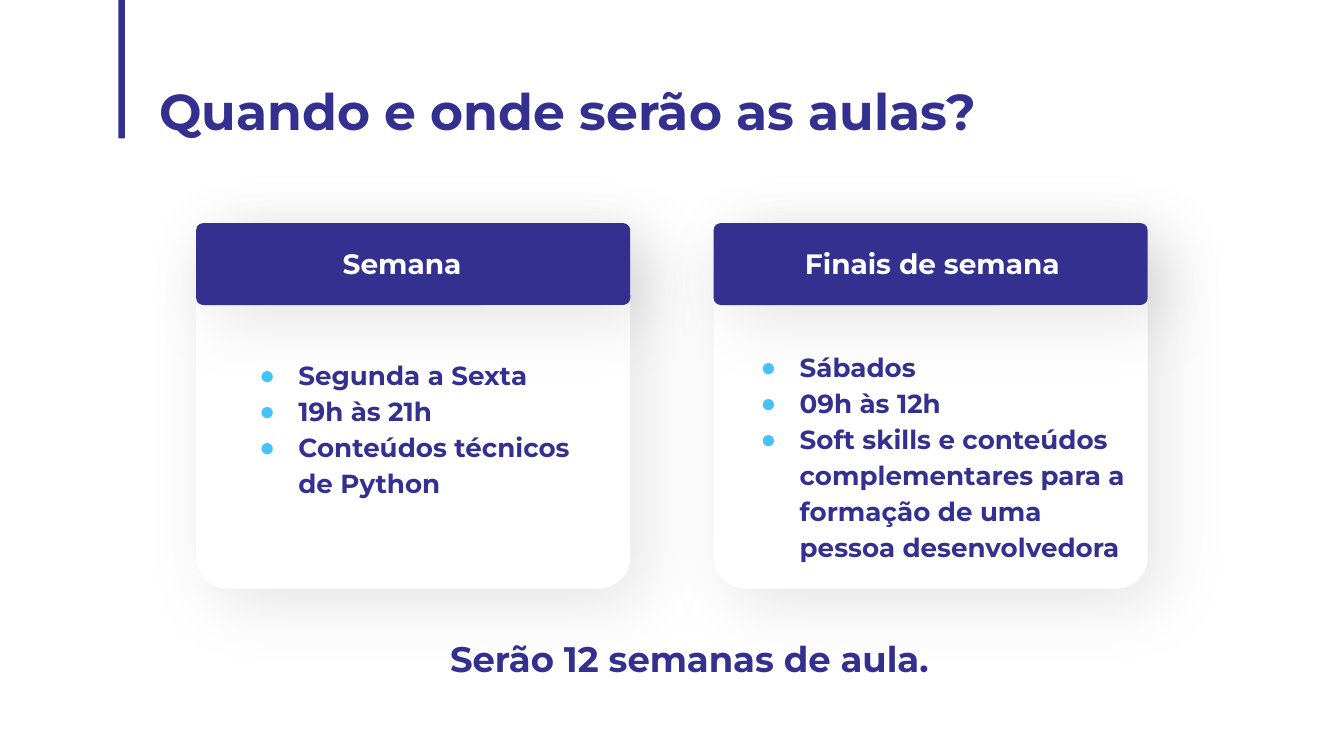
from dataclasses import dataclass

from lxml.etree import SubElement
from pptx import Presentation
from pptx.dml.color import RGBColor
from pptx.enum.shapes import MSO_SHAPE
from pptx.enum.text import MSO_ANCHOR, MSO_AUTO_SIZE, PP_ALIGN
from pptx.oxml.ns import qn
from pptx.util import Emu, Inches, Pt


@dataclass(frozen=True)
class Theme:
    font: str = "Montserrat"
    bullet_font: str = "Arial"
    primary: str = "343090"
    accent: str = "44C2FD"
    white: str = "FFFFFF"
    shadow: str = "000000"
    title: int = 27
    closing: int = 19
    header: int = 15
    body: int = 14


@dataclass(frozen=True)
class Box:
    col: float
    row: float
    cols: float
    rows: float

    def inner(self, col, row, cols, rows):
        return Box(self.col + col, self.row + row, cols, rows)

    def lengths(self):
        return [Emu(round(n * CELL)) for n in (self.col, self.row, self.cols, self.rows)]


THEME = Theme()
CELL = Inches(0.1)
SLIDE = Box(0, 0, 100, 56.25)
CARD_COLS, CARD_ROWS, CARD_PITCH = 32.3, 27.2, 38.5
HEADER_ROWS = 6.1
CARDS = [
    ("Semana", (10.6, 1.45, 9.8, 3.1),
     ["Segunda a Sexta", "19h às 21h", "Conteúdos técnicos de Python"],
     (2.3, 9.5, 26.4, 11.1)),
    ("Finais de semana", (6.5, 1.45, 20.7, 3.1),
     ["Sábados", "09h às 12h",
      "Soft skills e conteúdos complementares para a formação de uma pessoa desenvolvedora"],
     (1.1, 8.9, 30.1, 16.5)),
]


def place(sp, box):
    sp.left, sp.top, sp.width, sp.height = box.lengths()


def add_bullet(p):
    pPr = p._p.get_or_add_pPr()
    pPr.set("marL", str(Inches(0.5)))
    pPr.set("indent", str(Inches(-0.29)))
    color = SubElement(pPr, qn("a:buClr"))
    SubElement(color, qn("a:srgbClr"), val=THEME.accent)
    SubElement(pPr, qn("a:buFont"), typeface=THEME.bullet_font)
    SubElement(pPr, qn("a:buChar"), char="●")


def write(sp, lines, size, color=THEME.primary, align=PP_ALIGN.LEFT,
          spacing=1.0, inset=0.03, bullets=False, wrap=True):
    tf = sp.text_frame
    tf.word_wrap = wrap
    tf.auto_size = MSO_AUTO_SIZE.NONE
    tf.vertical_anchor = MSO_ANCHOR.TOP
    tf.margin_left = tf.margin_right = Inches(inset)
    tf.margin_top = tf.margin_bottom = Inches(inset)
    for i, line in enumerate(lines):
        p = tf.add_paragraph() if i else tf.paragraphs[0]
        if bullets:
            add_bullet(p)
        p.alignment = align
        p.line_spacing = spacing
        p.space_before = Pt(0)
        r = p.add_run()
        r.text = line
        r.font.name = THEME.font
        r.font.size = Pt(size)
        r.font.bold = True
        r.font.color.rgb = RGBColor.from_string(color)


def add_shadow(sp):
    effects = sp._element.spPr.find(qn("a:effectLst"))
    shadow = SubElement(effects, qn("a:outerShdw"), blurRad=str(Pt(37)),
                        dist=str(Pt(12)), dir=str(45 * 60000),
                        algn="bl", rotWithShape="0")
    color = SubElement(shadow, qn("a:srgbClr"), val=THEME.shadow)
    SubElement(color, qn("a:alpha"), val="9000")


def add_panel(slide, box, color, radius=0.086, shadow=True):
    sp = slide.shapes.add_shape(MSO_SHAPE.ROUNDED_RECTANGLE, *box.lengths())
    sp.adjustments[0] = radius
    sp.fill.solid()
    sp.fill.fore_color.rgb = RGBColor.from_string(color)
    sp.line.fill.background()
    sp.shadow.inherit = False
    if shadow:
        add_shadow(sp)


def add_heading(slide, box):
    add_panel(slide, box.inner(0, 0, 0.5, 10.7), THEME.primary, 0.167, shadow=False)
    title = slide.shapes.title
    place(title, box.inner(2.35, 5.65, 76.4, 6.1))
    write(title, ["Quando e onde serão as aulas?"], THEME.title, inset=0.07)


def add_card(slide, box, body, header, header_area, items, items_area):
    add_panel(slide, box, THEME.white)
    add_panel(slide, box.inner(0, 0, box.cols, HEADER_ROWS), THEME.primary)
    label = slide.shapes.add_textbox(*box.inner(*header_area).lengths())
    write(label, [header], THEME.header, THEME.white, wrap=False)
    place(body, box.inner(*items_area))
    write(body, items, THEME.body, spacing=1.15, bullets=True)
    slide.shapes.element.append(body.element)


def add_closing(slide, box):
    sp = slide.shapes.add_textbox(*box.lengths())
    write(sp, ["Serão 12 semanas de aula."], THEME.closing,
          align=PP_ALIGN.CENTER, spacing=1.15, inset=0.1)


def main():
    prs = Presentation()
    prs.slide_width, prs.slide_height = SLIDE.lengths()[2:]
    slide = prs.slides.add_slide(prs.slide_layouts[3])
    add_heading(slide, SLIDE.inner(8.8, -0.4, 78.7, 11.7))
    add_closing(slide, SLIDE.inner(22.5, 45.95, 57.6, 5.2))
    bodies = list(slide.placeholders)[1:3]
    for i, (body, card) in enumerate(zip(bodies, CARDS)):
        box = SLIDE.inner(14.6 + i * CARD_PITCH, 16.6, CARD_COLS, CARD_ROWS)
        add_card(slide, box, body, *card)
    prs.save("out.pptx")


if __name__ == "__main__":
    main()
